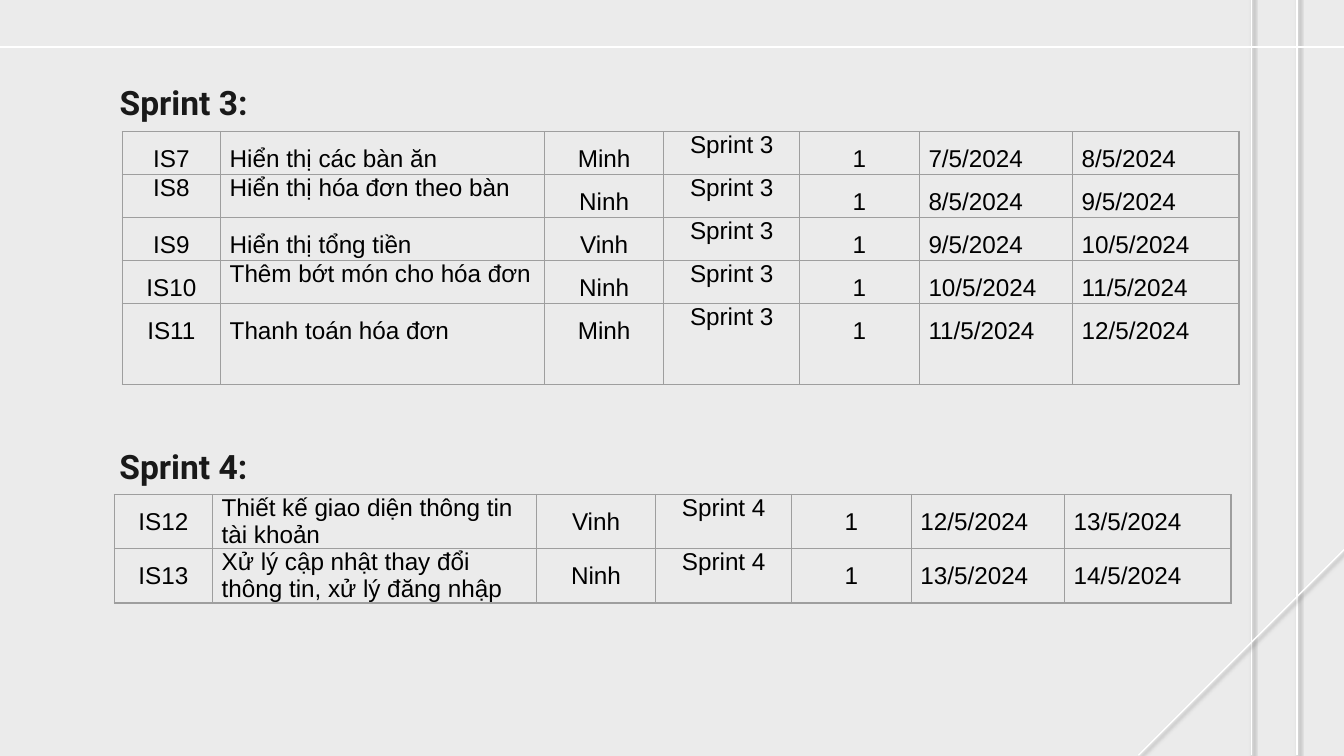
from lxml.etree import SubElement
from pptx import Presentation
from pptx.dml.color import RGBColor
from pptx.enum.shapes import MSO_CONNECTOR
from pptx.enum.text import MSO_ANCHOR, MSO_AUTO_SIZE, PP_ALIGN
from pptx.oxml import parse_xml
from pptx.oxml.ns import nsdecls, qn
from pptx.util import Inches, Pt


def color(code):
    return RGBColor.from_string(code)


def write(par, text, font, size, code, bold=False):
    run = par.add_run()
    run.text = text
    run.font.name = font
    run.font.size = Pt(size)
    run.font.bold = bold
    run.font.color.rgb = color(code)


deck = Presentation()
deck.slide_width = Inches(10)
deck.slide_height = Inches(10 * 9 / 16)
slide = deck.slides.add_slide(deck.slide_layouts[5])
slide.background.fill.solid()
slide.background.fill.fore_color.rgb = color("EBEBEB")

lines = [
    (9.65, -0.16, 9.65, 5.62),
    (9.31, -0.16, 9.31, 5.62),
    (-0.06, 0.35, 10.06, 0.35),
    (10.04, 4.05, 8.47, 5.62),
]
for ends in lines:
    line = slide.shapes.add_connector(MSO_CONNECTOR.STRAIGHT, *[Inches(n) for n in ends])
    line.line.color.rgb = color("FFFFFF")
    line.line.width = Pt(0.75)
    line._element.spPr.append(parse_xml(
        f'<a:effectLst {nsdecls("a")}>'
        f'<a:outerShdw blurRad="{Pt(2.2)}" dist="{Pt(1.5)}" dir="{51 * 60000}" algn="bl" rotWithShape="0">'
        '<a:srgbClr val="434343"><a:alpha val="50000"/></a:srgbClr>'
        '</a:outerShdw></a:effectLst>'))

title = slide.shapes.title
label = slide.shapes.add_textbox(0, 0, 0, 0)
heads = [
    (title, "Sprint 3:", 0.51, 1.74, 0.4),
    (label, "Sprint 4:", 3.22, 1.26, 0.63),
]
for box, text, top, width, height in heads:
    box.left, box.top = Inches(0.79), Inches(top)
    box.width, box.height = Inches(width), Inches(height)
    frame = box.text_frame
    frame.word_wrap = True
    frame.auto_size = MSO_AUTO_SIZE.NONE
    frame.vertical_anchor = MSO_ANCHOR.TOP
    frame.margin_left = frame.margin_right = Inches(0.1)
    frame.margin_top = frame.margin_bottom = Inches(0.1)
    par = frame.paragraphs[0]
    par.alignment = PP_ALIGN.LEFT
    write(par, text, "Roboto", 18, "191919", True)

third = [
    ("IS7", "Hiển thị các bàn ăn", "Minh", "Sprint 3", "1", "7/5/2024", "8/5/2024"),
    ("IS8", "Hiển thị hóa đơn theo bàn", "Ninh", "Sprint 3", "1", "8/5/2024", "9/5/2024"),
    ("IS9", "Hiển thị tổng tiền", "Vinh", "Sprint 3", "1", "9/5/2024", "10/5/2024"),
    ("IS10", "Thêm bớt món cho hóa đơn", "Ninh", "Sprint 3", "1", "10/5/2024", "11/5/2024"),
    ("IS11", "Thanh toán hóa đơn", "Minh", "Sprint 3", "1", "11/5/2024", "12/5/2024"),
]
fourth = [
    ("IS12", "Thiết kế giao diện thông tin tài khoản", "Vinh", "Sprint 4", "1", "12/5/2024", "13/5/2024"),
    ("IS13", "Xử lý cập nhật thay đổi thông tin, xử lý đăng nhập", "Ninh", "Sprint 4", "1", "13/5/2024", "14/5/2024"),
]
widths = [0.73, 2.41, 0.89, 1.01, 0.89, 1.14, 1.24]
tight = {("IS8", 0), ("IS8", 1), ("IS10", 1), ("IS12", 1), ("IS13", 1)}
plans = [
    (third, 0.91, 0.98, [0.32] * 4 + [0.6]),
    (fourth, 0.85, 3.68, [0.4] * 2),
]
for tasks, left, top, heights in plans:
    table = slide.shapes.add_table(
        len(tasks), len(widths), Inches(left), Inches(top),
        Inches(sum(widths)), Inches(sum(heights))).table
    table.first_row = table.horz_banding = False
    for col, width in zip(table.columns, widths):
        col.width = Inches(width)
    for row, height, task in zip(table.rows, heights, tasks):
        row.height = Inches(height)
        for spot, (cell, text) in enumerate(zip(row.cells, task)):
            cell.margin_left = cell.margin_right = Inches(0.07)
            cell.margin_top = cell.margin_bottom = 0
            par = cell.text_frame.paragraphs[0]
            par.alignment = PP_ALIGN.CENTER if spot in (0, 2, 3, 4) else PP_ALIGN.LEFT
            if spot != 3 and (task[0], spot) not in tight:
                par.line_spacing = 1.5
            write(par, text, "Arial", 13, "000000")
            props = cell._tc.get_or_add_tcPr()
            for side in ("a:lnL", "a:lnR", "a:lnT", "a:lnB"):
                edge = SubElement(props, qn(side), w=str(Pt(0.75)))
                fill = SubElement(edge, qn("a:solidFill"))
                SubElement(fill, qn("a:srgbClr"), val="9E9E9E")
            cell.fill.background()

deck.save("out.pptx")
